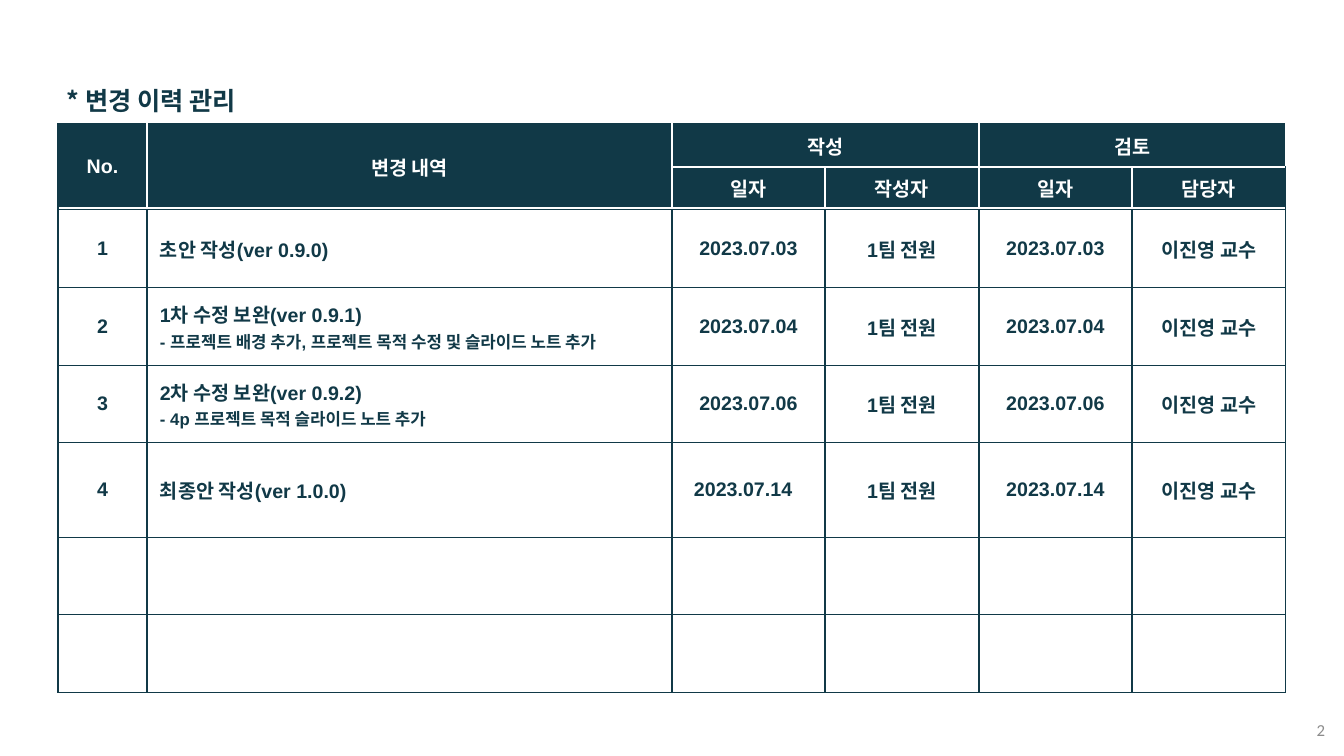
from lxml import etree
from pptx import Presentation
from pptx.dml.color import RGBColor
from pptx.enum.text import MSO_ANCHOR, PP_ALIGN
from pptx.oxml.ns import qn
from pptx.util import Emu, Pt

LEFT, CENTER, RIGHT = PP_ALIGN.LEFT, PP_ALIGN.CENTER, PP_ALIGN.RIGHT
MIDDLE, TOP = MSO_ANCHOR.MIDDLE, MSO_ANCHOR.TOP
EMU_PER_PX = 914400 / 100.8
COLORS = {"navy": "113947", "white": "FFFFFF", "gray": "8C8C8C"}
KOREAN = "Noto Sans CJK KR"

COLUMNS = [89, 525, 153, 154, 153, 154]
ROWS = [43, 42, 78, 78, 77, 95, 77, 78]
HEADER_ROWS = 2
HEADERS = {
    (0, 0): "No.", (0, 1): "변경 내역", (0, 2): "작성", (0, 4): "검토",
    (1, 2): "일자", (1, 3): "작성자", (1, 4): "일자", (1, 5): "담당자",
}
MERGES = [((0, 0), (1, 0)), ((0, 1), (1, 1)), ((0, 2), (0, 3)), ((0, 4), (0, 5))]
CHANGES = [
    (["초안 작성(ver 0.9.0)"], "2023.07.03"),
    (["1차 수정 보완(ver 0.9.1)",
      "- 프로젝트 배경 추가, 프로젝트 목적 수정 및 슬라이드 노트 추가"], "2023.07.04"),
    (["2차 수정 보완(ver 0.9.2)", "- 4p 프로젝트 목적 슬라이드 노트 추가"], "2023.07.06"),
    (["최종안 작성(ver 1.0.0)"], "2023.07.14"),
]
AUTHOR, REVIEWER = "1팀 전원", "이진영 교수"


def px(length):
    return Emu(round(length * EMU_PER_PX))


def rgb(name):
    return RGBColor.from_string(COLORS[name])


def write(frame, lines, sizes=(14,), font="Arial", color="navy", bold=True, align=CENTER):
    for index, line in enumerate(lines):
        para = frame.paragraphs[0] if index == 0 else frame.add_paragraph()
        para.alignment = align
        span = para.add_run()
        span.text = line
        span.font.size = Pt(sizes[min(index, len(sizes) - 1)])
        span.font.name = font
        span.font.bold = bold
        span.font.color.rgb = rgb(color)
        east_asian = etree.SubElement(span.font._element, qn("a:ea"))
        east_asian.set("typeface", KOREAN)


class HistoryPage:
    def __init__(self, deck):
        self.page = deck.slides.add_slide(deck.slide_layouts[6])

    def text(self, line, left, top, width, height, anchor=TOP, wrap=True, **style):
        box = self.page.shapes.add_textbox(px(left), px(top), px(width), px(height))
        box.text_frame.word_wrap = wrap
        box.text_frame.vertical_anchor = anchor
        write(box.text_frame, [line], **style)

    def table(self, left, top, columns, rows):
        frame = self.page.shapes.add_table(
            len(rows), len(columns), px(left), px(top), px(sum(columns)), px(sum(rows)))
        table = frame.table
        table.first_row = table.horz_banding = False
        for column, width in zip(table.columns, columns):
            column.width = px(width)
        for row, height in zip(table.rows, rows):
            row.height = px(height)
        return table

    def cell_format(self, cell, borders):
        cell.vertical_anchor = MIDDLE
        cell.margin_left = cell.margin_right = px(13)
        cell.margin_top = cell.margin_bottom = px(7)
        properties = cell._tc.get_or_add_tcPr()
        for side, color in zip("LRTB", borders):
            line = etree.SubElement(properties, qn(f"a:ln{side}"), w=str(Pt(1)))
            fill = etree.SubElement(line, qn("a:solidFill"))
            etree.SubElement(fill, qn("a:srgbClr"), val=COLORS[color])

    def solid(self, cell, color):
        cell.fill.solid()
        cell.fill.fore_color.rgb = rgb(color)

    def underlined(self, cell, position):
        cell.fill.gradient()
        cell.fill.gradient_angle = 270
        for stop, color in zip(cell.fill.gradient_stops, ("navy", "white")):
            stop.position = position
            stop.color.rgb = rgb(color)


def header_borders(row, column):
    grouped = column >= 2
    return (
        "white" if column > 0 else "navy",
        "white" if column + 1 < len(COLUMNS) else "navy",
        "white" if row == 1 and grouped else "navy",
        "white" if row == 0 and grouped else "navy",
    )


def fill_header(history, table):
    for start, end in MERGES:
        table.cell(*start).merge(table.cell(*end))
    for row in range(HEADER_ROWS):
        for column in range(len(COLUMNS)):
            cell = table.cell(row, column)
            history.cell_format(cell, header_borders(row, column))
            if row == 0 and column >= 2:
                history.solid(cell, "navy")
            else:
                history.underlined(cell, 0.97 if column < 2 else 0.94)
    for place, label in HEADERS.items():
        write(table.cell(*place).text_frame, [label], color="white")
    table.cell(0, 5).fill.solid()
    table.cell(0, 5).fill.fore_color.rgb = rgb("navy")


def fill_body(history, table):
    for row in range(HEADER_ROWS, len(ROWS)):
        for column in range(len(COLUMNS)):
            cell = table.cell(row, column)
            history.cell_format(cell, ("navy",) * 4)
            history.solid(cell, "white")
    for number, (details, date) in enumerate(CHANGES, 1):
        row = number + HEADER_ROWS - 1
        entries = [[str(number)], details, [date], [AUTHOR], [date], [REVIEWER]]
        for column, lines in enumerate(entries):
            align = LEFT if column == 1 else CENTER
            write(table.cell(row, column).text_frame, lines, sizes=(14, 12), align=align)
    last_date = table.cell(HEADER_ROWS + len(CHANGES) - 1, 2)
    last_date.margin_left = px(22)
    last_date.text_frame.paragraphs[0].alignment = LEFT


def main():
    deck = Presentation()
    deck.slide_width, deck.slide_height = px(1344), px(756)
    history = HistoryPage(deck)
    table = history.table(58, 124, COLUMNS, ROWS)
    fill_header(history, table)
    fill_body(history, table)
    history.text("* 변경 이력 관리", 57, 80, 212, 40, wrap=False,
                 sizes=(18,), font=KOREAN, align=LEFT)
    history.text("2", 1033, 710, 302, 40, anchor=MIDDLE,
                 sizes=(12,), font="Calibri", color="gray", bold=False, align=RIGHT)
    deck.save("out.pptx")


if __name__ == "__main__":
    main()
